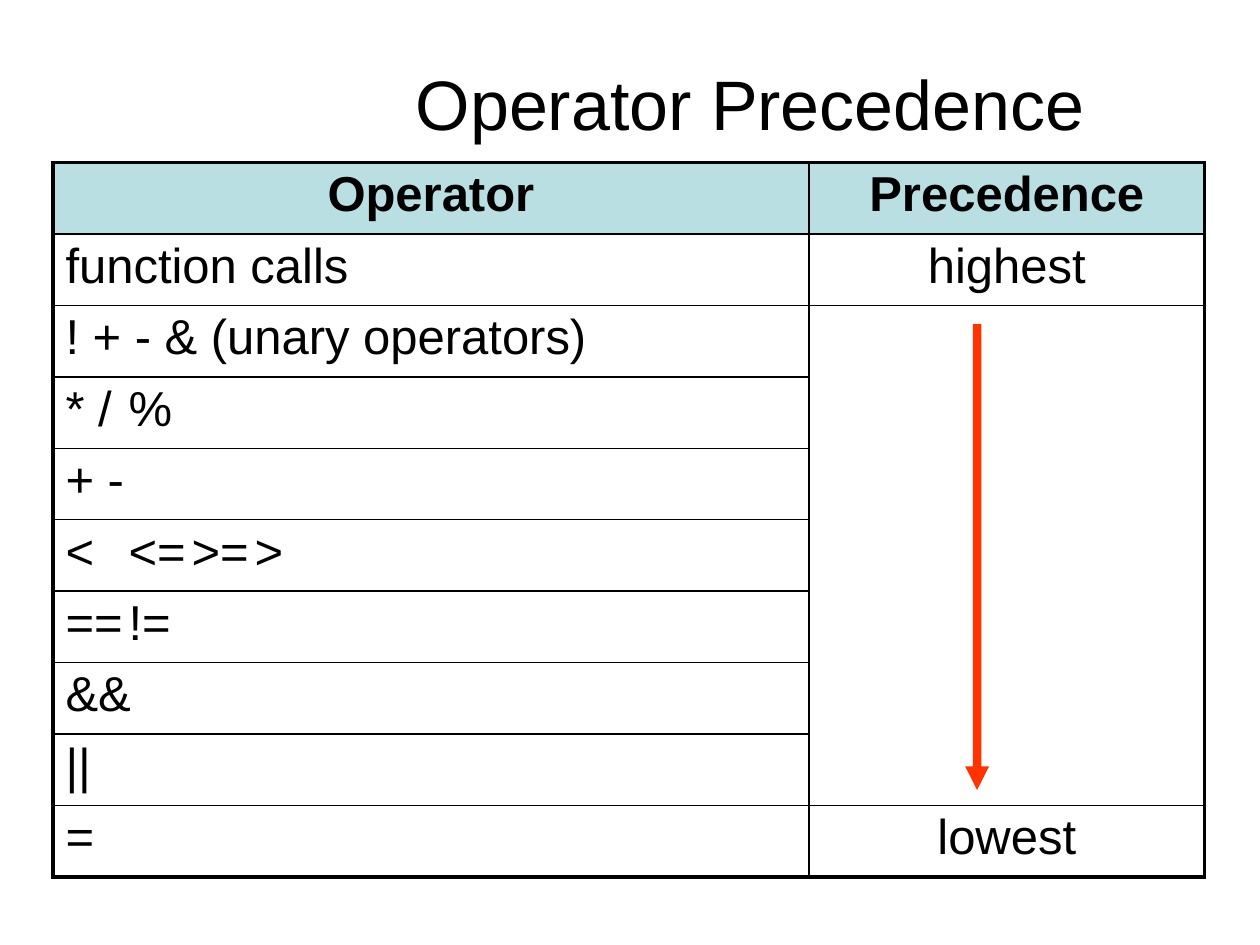
import lxml.etree
import pptx
import pptx.dml.color
import pptx.enum.text
import pptx.oxml.ns
import pptx.util

Inches, Pt = pptx.util.Inches, pptx.util.Pt
Align = pptx.enum.text.PP_ALIGN
qn = pptx.oxml.ns.qn
color = pptx.dml.color.RGBColor.from_string

THEME = {
    "font": "Arial", "ink": "000000", "header": "BADFE2", "arrow": "FF3300",
    "title_size": 40, "table_size": 28, "frame": 2.25, "rule": 1,
}
WIDTH, HEIGHT = 10, 7.5
LEFT, TOP = 0.042 * WIDTH, 0.172 * HEIGHT
COLUMNS = (0.6 * WIDTH, 0.314 * WIDTH)
ROW = 0.0756 * HEIGHT

OPERATORS = [
    ("function calls", ()),
    ("! + - & (unary operators)", ()),
    ("* /\t%", (0.68,)),
    ("+ -", ()),
    ("<\t<=\t>=\t>", (0.54, 1.21, 1.88)),
    ("==\t!=", (0.88,)),
    ("&&", ()),
    ("||", ()),
    ("=", ()),
]
LAST = len(OPERATORS)


def write(frame, text, size, bold=False, align=Align.LEFT, before=0, indent=0, tabs=()):
    para = frame.paragraphs[0]
    para.alignment = align
    para.space_before = Pt(before)
    span = para.add_run()
    span.text = text
    span.font.color.rgb = color(THEME["ink"])
    for name, value in {"name": THEME["font"], "size": Pt(size), "bold": bold}.items():
        setattr(span.font, name, value)
    settings = para._p.get_or_add_pPr()
    settings.set("marL", str(Inches(indent)))
    settings.set("indent", "0")
    if tabs:
        stops = lxml.etree.SubElement(settings, qn("a:tabLst"))
        for stop in tabs:
            lxml.etree.SubElement(stops, qn("a:tab"), pos=str(Inches(stop)), algn="l")


def outline(cell, row, column):
    settings = cell._tc.get_or_add_tcPr()
    edges = {"a:lnL": column == 0, "a:lnR": column == 1, "a:lnT": row == 0, "a:lnB": row == LAST}
    for place, (tag, outer) in enumerate(edges.items()):
        width = THEME["frame"] if outer else THEME["rule"]
        line = lxml.etree.Element(qn(tag), w=str(Pt(width)))
        fill = lxml.etree.SubElement(line, qn("a:solidFill"))
        lxml.etree.SubElement(fill, qn("a:srgbClr"), val=THEME["ink"])
        settings.insert(place, line)


deck = pptx.Presentation()
deck.slide_width, deck.slide_height = Inches(WIDTH), Inches(HEIGHT)
page = deck.slides.add_slide(deck.slide_layouts[6])

title = page.shapes.add_textbox(
    Inches(0.329 * WIDTH), Inches(0.063 * HEIGHT), Inches(0.534 * WIDTH), Inches(0.092 * HEIGHT)
).text_frame
title_format = {"word_wrap": True, "margin_left": 0, "margin_right": 0,
                "margin_top": Inches(0.01), "margin_bottom": 0}
for name, value in title_format.items():
    setattr(title, name, value)
write(title, "Operator Precedence", THEME["title_size"], before=0.9, indent=0.01)

table = page.shapes.add_table(
    LAST + 1, 2, Inches(LEFT), Inches(TOP), Inches(sum(COLUMNS)), Inches(ROW * (LAST + 1))
).table
table.first_row = table.horz_banding = False
for column, width in zip(table.columns, COLUMNS):
    column.width = Inches(width)
for row in table.rows:
    row.height = Inches(ROW)

cell_format = {"margin_left": 0, "margin_right": 0, "margin_top": Inches(0.04), "margin_bottom": 0}
ranks = {0: "Precedence", 1: "highest", LAST: "lowest"}
for row in range(LAST + 1):
    for column in range(2):
        cell = table.cell(row, column)
        for name, value in cell_format.items():
            setattr(cell, name, value)
        if row == 0:
            cell.fill.solid()
            cell.fill.fore_color.rgb = color(THEME["header"])
        else:
            cell.fill.background()
        outline(cell, row, column)
        if column == 0 and row > 0:
            text, tabs = OPERATORS[row - 1]
            write(cell.text_frame, text, THEME["table_size"], before=2.9, indent=0.1, tabs=tabs)
        elif column == 0 or row in ranks:
            text = ranks[row] if column else "Operator"
            write(cell.text_frame, text, THEME["table_size"], row == 0, Align.CENTER, 2.9)
table.cell(2, 1).merge(table.cell(LAST - 1, 1))

middle, start, neck, tip = 0.7755 * WIDTH, 0.343 * HEIGHT, 0.811 * HEIGHT, 0.836 * HEIGHT
shaft, head = 0.0033 * WIDTH, 0.0095 * WIDTH
corners = [(-shaft, start), (shaft, start), (shaft, neck), (head, neck),
           (0, tip), (-head, neck), (-shaft, neck)]
points = [(Inches(middle + offset), Inches(y)) for offset, y in corners]
builder = page.shapes.build_freeform(*points[0])
builder.add_line_segments(points[1:], close=True)
arrow = builder.convert_to_shape()
arrow.shadow.inherit = False
arrow.fill.solid()
arrow.fill.fore_color.rgb = color(THEME["arrow"])
arrow.line.fill.background()

deck.save("out.pptx")
